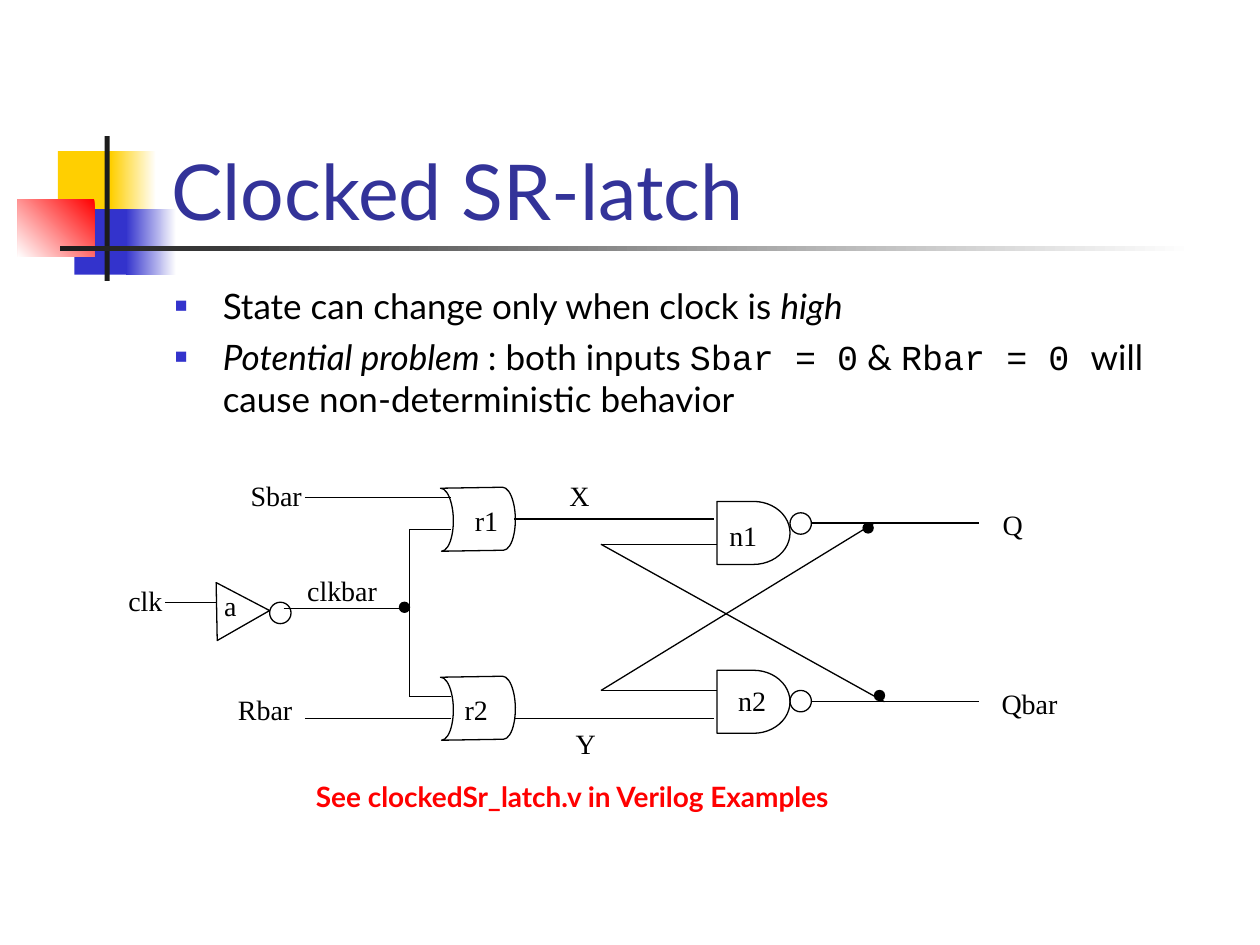
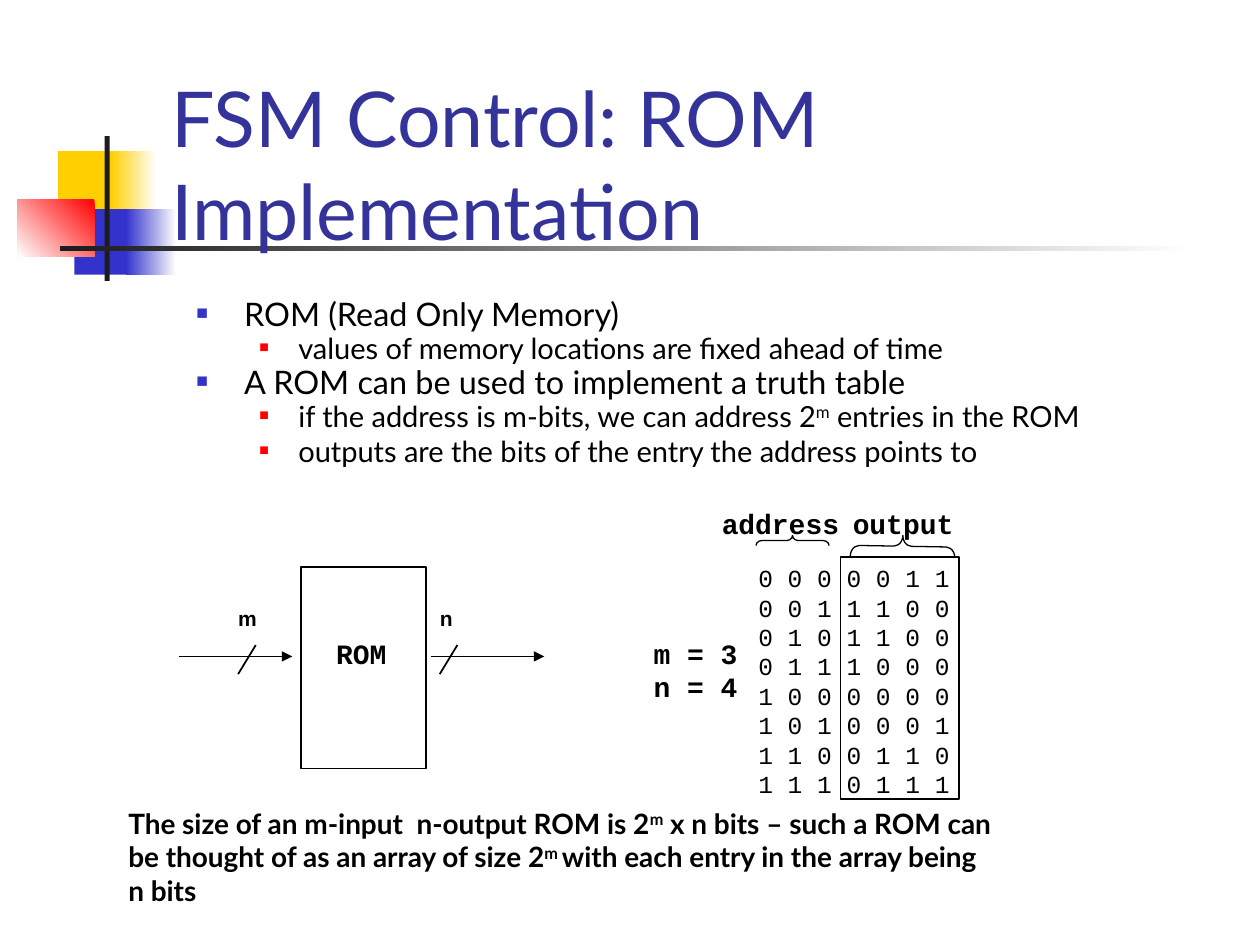
"""Build two lecture slides on a clocked SR-latch and a ROM implementation."""
from dataclasses import dataclass, replace

from lxml.etree import SubElement
from pptx import Presentation
from pptx.dml.color import RGBColor
from pptx.enum.shapes import MSO_CONNECTOR, MSO_SHAPE
from pptx.enum.text import MSO_ANCHOR as ANCHOR
from pptx.oxml.ns import qn
from pptx.util import Inches, Pt

BLACK = RGBColor(0x00, 0x00, 0x00)
WHITE = RGBColor(0xFF, 0xFF, 0xFF)
RED = RGBColor(0xFF, 0x00, 0x00)
YELLOW = RGBColor(0xFF, 0xCF, 0x01)
BLUE = RGBColor(0x33, 0x33, 0xCC)
CHARCOAL = RGBColor(0x1C, 0x1C, 0x1C)
TITLE_BLUE = RGBColor(0x33, 0x33, 0x99)


@dataclass(frozen=True)
class Style:
    """Character formatting of a run."""
    font: str = "Lato"
    size: float = 16
    color: RGBColor = BLACK
    bold: bool = False
    italic: bool = False
    raised: bool = False


@dataclass(frozen=True)
class Bullet:
    """Indent, marker and spacing of a bullet level."""
    level: int
    margin: float
    hanging: float
    color: RGBColor
    percent: int
    space_before: float


TITLE = Style(size=44, color=TITLE_BLUE)
SIGNAL = Style("Times New Roman")
CODE = Style("Courier New", bold=True)
PIN = Style("Arial", 12, bold=True)
NOTE = Style(bold=True)
TOP_LEVEL = Bullet(0, 0.38, 0.38, BLUE, 60, 5)
SUB_LEVEL = Bullet(1, 0.81, 0.31, RED, 55, 4.5)


def add_runs(paragraph, runs):
    """Add (text, style) runs to a paragraph."""
    for text, style in runs:
        run = paragraph.add_run()
        run.text = text
        run.font.name = style.font
        run.font.size = Pt(style.size)
        run.font.color.rgb = style.color
        run.font.bold = style.bold
        run.font.italic = style.italic
        if style.raised:
            run.font._element.set("baseline", "30000")


def add_text(slide, box, paragraphs, anchor=ANCHOR.TOP):
    """Add a text box holding one list of runs per paragraph."""
    shape = slide.shapes.add_textbox(*map(Inches, box))
    frame = shape.text_frame
    frame.word_wrap = True
    frame.vertical_anchor = anchor
    for index, runs in enumerate(paragraphs):
        paragraph = frame.add_paragraph() if index else frame.paragraphs[0]
        add_runs(paragraph, runs)
    return shape


def add_label(slide, text, left, top, width, style=SIGNAL):
    """Add a one-line label."""
    add_text(slide, (left, top, width, 0.37), [[(text, style)]])


def set_bullet(paragraph, bullet):
    """Give a paragraph a square bullet."""
    paragraph.level = bullet.level
    properties = paragraph._p.get_or_add_pPr()
    properties.set("marL", str(Inches(bullet.margin)))
    properties.set("indent", str(-Inches(bullet.hanging)))
    color = SubElement(properties, qn("a:buClr"))
    SubElement(color, qn("a:srgbClr"), val=str(bullet.color))
    SubElement(properties, qn("a:buSzPct"), val=str(bullet.percent * 1000))
    SubElement(properties, qn("a:buFont"), typeface="Arial")
    SubElement(properties, qn("a:buChar"), char="■")


def add_bullets(slide, box, items, line_spacing=None):
    """Add a bulleted list of (level, runs) items."""
    shape = add_text(slide, box, [runs for _, runs in items])
    for index, (paragraph, (bullet, _)) in enumerate(zip(shape.text_frame.paragraphs, items)):
        set_bullet(paragraph, bullet)
        paragraph.space_before = Pt(bullet.space_before if index else 0)
        if line_spacing:
            paragraph.line_spacing = line_spacing


def add_figure(slide, kind, box, fill=None, line=BLACK, width=0.75, rotation=0):
    """Add a preset shape with an optional solid fill and outline."""
    shape = slide.shapes.add_shape(kind, *map(Inches, box))
    shape.shadow.inherit = False
    shape.rotation = rotation
    if fill is None:
        shape.fill.background()
    else:
        shape.fill.solid()
        shape.fill.fore_color.rgb = fill
    if line is None:
        shape.line.fill.background()
    else:
        shape.line.color.rgb = line
        shape.line.width = Pt(width)
    return shape


def add_fade(slide, box, start, end, angle=180):
    """Add a borderless rectangle with a two-colour gradient."""
    shape = add_figure(slide, MSO_SHAPE.RECTANGLE, box, line=None)
    shape.fill.gradient()
    shape.fill.gradient_angle = angle
    for stop, color in zip(shape.fill.gradient_stops, (start, end)):
        stop.color.rgb = color


def add_wire(slide, x1, y1, x2, y2, width=0.75, arrow=False):
    """Add a straight black line, with an arrowhead if asked."""
    wire = slide.shapes.add_connector(MSO_CONNECTOR.STRAIGHT, *map(Inches, (x1, y1, x2, y2)))
    wire.line.color.rgb = BLACK
    wire.line.width = Pt(width)
    if arrow:
        SubElement(wire.line._get_or_add_ln(), qn("a:tailEnd"), type="triangle")
    SubElement(wire._element.spPr, qn("a:effectLst"))


def add_brace(slide, box, curve, rotation):
    """Add a brace turned to point upwards."""
    brace = add_figure(slide, MSO_SHAPE.RIGHT_BRACE, box, rotation=rotation)
    brace.adjustments[0] = curve


def add_themed_slide(presentation, title, anchor):
    """Add a blank slide with the coloured blocks, rules and title."""
    slide = presentation.slides.add_slide(presentation.slide_layouts[6])
    block = MSO_SHAPE.RECTANGLE
    add_figure(slide, block, (0.46, 1.2, 0.48, 0.52), YELLOW, None)
    add_fade(slide, (0.88, 1.2, 0.36, 0.52), WHITE, YELLOW)
    add_figure(slide, block, (0.59, 1.66, 0.46, 0.52), BLUE, None)
    add_fade(slide, (1, 1.66, 0.4, 0.52), WHITE, BLUE)
    add_fade(slide, (0.14, 1.58, 0.61, 0.46), RED, WHITE, 225)
    add_figure(slide, block, (0.83, 1.08, 0.04, 1.15), CHARCOAL, None)
    add_fade(slide, (0.48, 1.95, 9, 0.04), WHITE, CHARCOAL)
    add_text(slide, (1.26, 0.67, 8.52, 1.25), [[(title, TITLE)]], anchor)
    return slide


def draw_latch(slide):
    """Draw the gates, wires and signal names of the latch."""
    for top in (3.98, 5.32):
        add_figure(slide, MSO_SHAPE.FLOWCHART_DELAY, (5.69, top, 0.58, 0.5))
    for top in (3.87, 5.37):
        add_figure(slide, MSO_SHAPE.FLOWCHART_STORED_DATA, (3.5, top, 0.59, 0.5), rotation=179.1)
    add_figure(slide, MSO_SHAPE.ISOSCELES_TRIANGLE, (1.7, 4.64, 0.46, 0.42), rotation=88.9)
    for left, top in ((6.27, 4.07), (6.27, 5.48), (2.14, 4.78)):
        add_figure(slide, MSO_SHAPE.OVAL, (left, top, 0.17, 0.17))
    for left, top in ((6.94, 5.48), (6.85, 4.15), (3.17, 4.78)):
        add_figure(slide, MSO_SHAPE.OVAL, (left, top, 0.08, 0.08), BLACK)

    outputs = [(6.44, y, 7.77, y) for y in (4.15, 5.57)]
    feedback = [(7.02, 5.57, 4.77, 4.32), (4.77, 4.32, 5.69, 4.32),
                (6.94, 4.15, 4.77, 5.48), (4.77, 5.48, 5.69, 5.48)]
    inputs = [(2.42, y, 3.58, y) for y in (3.95, 5.7)]
    clock = [(1.31, 4.78, 1.72, 4.78), (2.25, 4.83, 3.17, 4.83), (3.25, 4.2, 3.25, 5.53),
             (3.25, 4.2, 3.58, 4.2), (3.25, 5.53, 3.58, 5.53)]
    between = [(4.08, y, 5.67, y) for y in (4.12, 5.7)]
    for ends in outputs + feedback + inputs + clock + between:
        add_wire(slide, *ends)

    for label in (("Q", 7.86, 3.98, 0.5), ("Qbar", 7.85, 5.4, 0.75),
                  ("n1", 5.69, 4.07, 0.5), ("n2", 5.76, 5.38, 0.5),
                  ("Sbar", 1.89, 3.75, 0.75), ("Rbar", 1.79, 5.45, 0.75),
                  ("clk", 0.92, 4.58, 0.6), ("clkbar", 2.34, 4.5, 0.9),
                  ("r1", 3.67, 3.95, 0.5), ("r2", 3.59, 5.45, 0.5),
                  ("a", 1.68, 4.62, 0.4), ("X", 4.42, 3.75, 0.5), ("Y", 4.47, 5.72, 0.5)):
        add_label(slide, *label)


def build_latch_slide(presentation):
    """Build the clocked SR-latch slide."""
    slide = add_themed_slide(presentation, "Clocked SR-latch", ANCHOR.BOTTOM)
    body = Style(size=20)
    italic = replace(body, italic=True)
    code = replace(body, font="Courier New")
    add_bullets(slide, (1.29, 2.21, 7.96, 4.5), [
        (TOP_LEVEL, [("State can change only when clock is ", body), ("high", italic)]),
        (TOP_LEVEL, [("Potential problem ", italic), (": both inputs ", body),
                     ("Sbar = 0", code), (" & ", body), ("Rbar = 0 ", code),
                     ("will cause non-deterministic behavior", body)]),
    ])
    draw_latch(slide)
    add_label(slide, "See clockedSr_latch.v in Verilog Examples", 2.41, 6.14, 4.9,
              replace(NOTE, color=RED))


def draw_rom_block(slide):
    """Draw the ROM box with its m-bit input and n-bit output."""
    add_figure(slide, MSO_SHAPE.RECTANGLE, (2.39, 4.5, 0.99, 1.6), WHITE, width=1)
    add_label(slide, "ROM", 2.57, 5, 0.75, CODE)
    for name, arrow_left, slash_left, label_left in (("m", 1.42, 1.89, 1.87),
                                                     ("n", 3.42, 3.49, 3.47)):
        add_wire(slide, arrow_left, 5.21, arrow_left + 0.9, 5.21, 1, arrow=True)
        add_wire(slide, slash_left + 0.14, 5.12, slash_left, 5.35, 1)
        label = add_text(slide, (label_left, 4.78, 0.59, 0.33), [[(name, PIN)]])
        frame = label.text_frame
        frame.margin_left = frame.margin_right = Inches(0.02)
        frame.margin_top = frame.margin_bottom = Inches(0.03)
        frame.paragraphs[0].line_spacing = Pt(14)


def draw_truth_table(slide):
    """Draw the address and output bits with their braces and headings."""
    outputs = ("0011", "1100", "1100", "1000", "0000", "0001", "0110", "0111")
    bits = Style("Courier New", 14)
    rows = [[(" ".join(f"{address:03b}{output}"), bits)]
            for address, output in enumerate(outputs)]
    add_text(slide, (5.92, 4.42, 1.76, 1.96), rows)
    add_figure(slide, MSO_SHAPE.RECTANGLE, (6.67, 4.42, 0.94, 1.92), width=1)
    add_text(slide, (5.09, 5, 1, 0.64), [[("m = 3", CODE)], [("n = 4", CODE)]])
    add_brace(slide, (7.08, 3.92, 0.17, 0.83), 0.41, 271)
    add_label(slide, "output", 6.67, 3.97, 1.1, CODE)
    add_brace(slide, (6.25, 4, 0.08, 0.58), 0.58, 270)
    add_label(slide, "address", 5.63, 3.97, 1.29, CODE)


def build_rom_slide(presentation):
    """Build the ROM implementation slide."""
    slide = add_themed_slide(presentation, "FSM Control: ROM Implementation", ANCHOR.MIDDLE)
    main_text = Style(size=18.5)
    detail = Style(size=16.6)
    last_level = replace(SUB_LEVEL, space_before=6)
    add_bullets(slide, (1.46, 2.37, 8.17, 1.5), [
        (TOP_LEVEL, [("ROM (Read Only Memory)", main_text)]),
        (SUB_LEVEL, [("values of memory locations are fixed ahead of time", detail)]),
        (TOP_LEVEL, [("A ROM can be used to implement a truth table", main_text)]),
        (SUB_LEVEL, [("if the address is m-bits, we can address 2", detail),
                     ("m", replace(detail, raised=True)), (" entries in the ROM", detail)]),
        (last_level, [("outputs are the bits of the entry the address points to", detail)]),
    ], line_spacing=0.7)
    draw_rom_block(slide)
    draw_truth_table(slide)
    raised = replace(NOTE, raised=True)
    add_text(slide, (0.92, 6.35, 7.88, 0.9), [
        [("The size of an m-input  n-output ROM is 2", NOTE), ("m", raised),
         (" x n bits – such a ROM can", NOTE)],
        [("be thought of as an array of size 2", NOTE), ("m ", raised),
         ("with each entry in the array being", NOTE)],
        [("n bits", NOTE)],
    ])


def main():
    """Create the presentation and save it."""
    presentation = Presentation()
    presentation.slide_width = Inches(10)
    presentation.slide_height = Inches(7.5)
    build_latch_slide(presentation)
    build_rom_slide(presentation)
    presentation.save("out.pptx")


if __name__ == "__main__":
    main()
